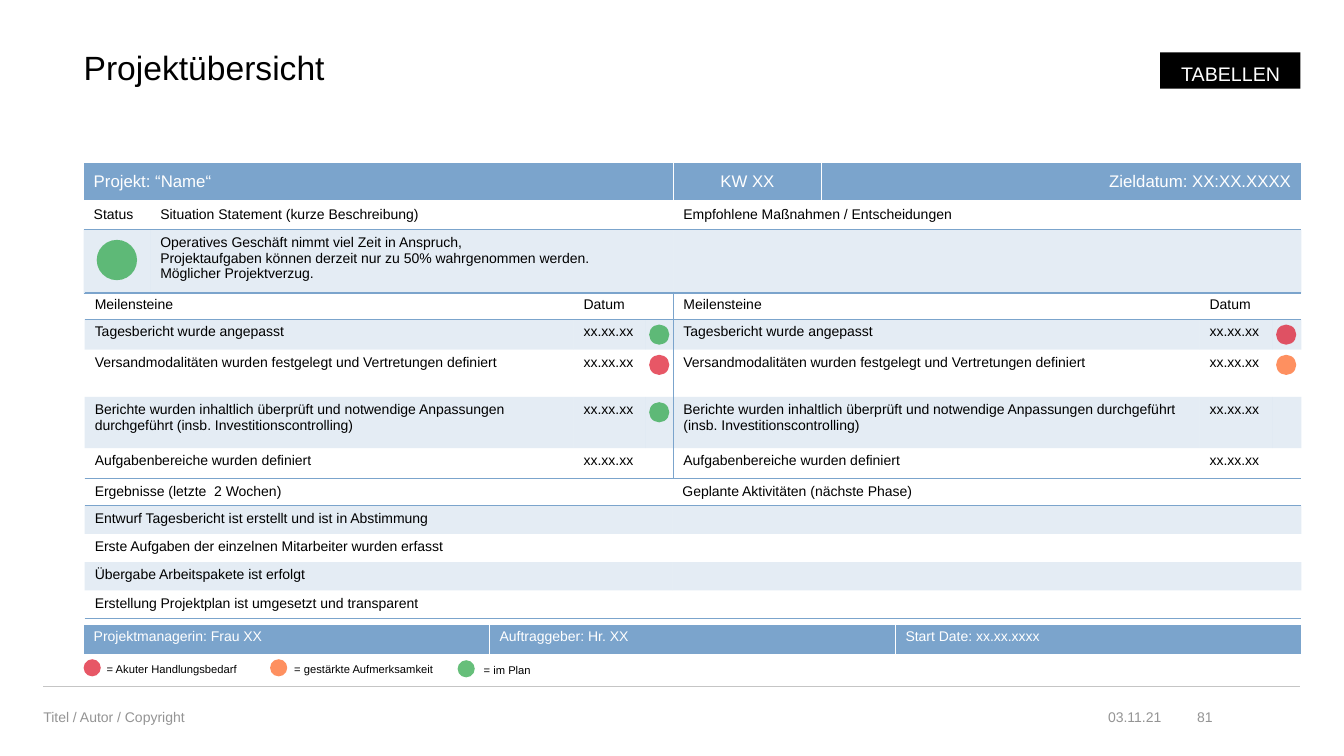
from lxml import etree
from pptx import Presentation, util as u
from pptx.dml.color import RGBColor
from pptx.enum import shapes, text
from pptx.oxml import ns

GRID = u.Inches(0.1)
FONT = "Arial"
BLUE, WHITE, BLACK, GREY, RULE = "7BA4CC", "FFFFFF", "000000", "949494", "C5C5C5"
GREEN, RED, ORANGE = "26A442", "DE1026", "FE621D"
NO_STYLE = "{2D5ABB26-0587-4C30-8999-92F81FD0307C}"

LEFT, MIDDLE = 8.3, 66.7
STATUS_TOP, MILESTONE_TOP, RESULT_TOP = 20, 29, 47.5
MILESTONE_ROWS = [2.6, 3, 4.7, 5.1, 3]
RESULT_ROWS = [2.6] + [2.8] * 4
MILESTONES = [
    "Tagesbericht wurde angepasst",
    "Versandmodalitäten wurden festgelegt und Vertretungen definiert",
    "Berichte wurden inhaltlich überprüft und notwendige Anpassungen "
    "durchgeführt (insb. Investitionscontrolling)",
    "Aufgabenbereiche wurden definiert",
]
RESULTS = [
    "Ergebnisse (letzte  2 Wochen)",
    "Entwurf Tagesbericht ist erstellt und ist in Abstimmung",
    "Erste Aufgaben der einzelnen Mitarbeiter wurden erfasst",
    "Übergabe Arbeitspakete ist erfolgt",
    "Erstellung Projektplan ist umgesetzt und transparent",
]


def cells(*counts):
    """Lengths of the given numbers of grid cells."""
    return [round(count * GRID) for count in counts]


def rgb(code):
    return RGBColor.from_string(code)


def sub(parent, tag, **attributes):
    return etree.SubElement(parent, ns.qn(tag), attributes)


def paint(fill, color, opacity=100):
    fill.solid()
    fill.fore_color.rgb = rgb(color)
    if opacity < 100:
        tint = fill._xPr.find(ns.qn("a:solidFill")).find(ns.qn("a:srgbClr"))
        sub(tint, "a:alpha", val=str(opacity * 1000))


def write(frame, words, size=10, color=BLACK, align=text.PP_ALIGN.LEFT,
          spacing=None, after=None):
    """Fill a text frame, one paragraph per line of words."""
    for index, line in enumerate(words.split("\n")):
        paragraph = frame.add_paragraph() if index else frame.paragraphs[0]
        paragraph.alignment = align
        paragraph.line_spacing = spacing
        paragraph.space_after = after
        if not line:
            sub(paragraph._p, "a:endParaRPr", sz=str(size * 100))
            continue
        run = paragraph.add_run()
        run.text = line
        run.font.size = u.Pt(size)
        run.font.name = FONT
        run.font.color.rgb = rgb(color)


def set_insets(frame, horizontal, vertical):
    frame.margin_left = frame.margin_right = u.Inches(horizontal)
    frame.margin_top = frame.margin_bottom = u.Inches(vertical)


def add_label(slide, box, words, inset=(0, 0), **style):
    frame = slide.shapes.add_textbox(*cells(*box)).text_frame
    frame.word_wrap = True
    frame.vertical_anchor = text.MSO_ANCHOR.MIDDLE
    set_insets(frame, *inset)
    write(frame, words, **style)


def add_dot(slide, left, top, size, color):
    dot = slide.shapes.add_shape(shapes.MSO_SHAPE.OVAL, *cells(left, top, size, size))
    dot.shadow.inherit = False
    dot.line.fill.background()
    paint(dot.fill, color, 70)


def add_border(cell, side, color, width):
    line = sub(cell._tc.get_or_add_tcPr(), "a:ln" + side, w=str(u.Pt(width)))
    sub(sub(line, "a:solidFill"), "a:srgbClr", val=color)


def add_grid(slide, left, top, widths, heights):
    """Add an unstyled table and return it."""
    frame = slide.shapes.add_table(len(heights), len(widths),
                                   *cells(left, top, sum(widths), sum(heights)))
    table = frame.table
    table.first_row = table.horz_banding = False
    table._tbl.tblPr.find(ns.qn("a:tableStyleId")).text = NO_STYLE
    for column, width in zip(table.columns, cells(*widths)):
        column.width = width
    for row, height in zip(table.rows, cells(*heights)):
        row.height = height
    return table


def add_bar(slide, top, widths, height, entries, aligns, size, anchor, bottom):
    """Add a one-row table of solid blue cells."""
    table = add_grid(slide, LEFT, top, widths, [height])
    for cell, words, align in zip(table.iter_cells(), entries, aligns):
        write(cell.text_frame, words, size=size, color=WHITE, align=align)
        cell.vertical_anchor = anchor
        cell.margin_bottom = u.Inches(bottom)
        for side, width in zip("LRTB", (1, 1, 1, 3)):
            add_border(cell, side, WHITE, width)
        paint(cell.fill, BLUE)


def add_banded(slide, left, top, widths, heights, entries, left_rule=False):
    """Add a table with a ruled head, tinted odd rows and a closing rule."""
    table = add_grid(slide, left, top, widths, heights)
    last = len(heights) - 1
    for r, line in enumerate(entries):
        for c, words in enumerate(line):
            cell = table.cell(r, c)
            write(cell.text_frame, words)
            sides = "L" if left_rule and c == 0 else ""
            sides += "TB" if r == 0 else "B" if r == last else ""
            for side in sides:
                add_border(cell, side, BLUE, 1)
            if r % 2:
                paint(cell.fill, BLUE, 20)
            else:
                cell.fill.background()


def add_milestones(slide, left, widths, dot_left, colors, left_rule=False):
    entries = [["Meilensteine", "Datum", ""]]
    entries += [[milestone, "xx.xx.xx", ""] for milestone in MILESTONES]
    add_banded(slide, left, MILESTONE_TOP, widths, MILESTONE_ROWS, entries, left_rule)
    for row, color in enumerate(colors, 1):
        add_dot(slide, dot_left, MILESTONE_TOP + sum(MILESTONE_ROWS[:row]) + 0.6, 2, color)


def add_heading(slide):
    title = slide.shapes.title
    title.left, title.top, title.width, title.height = cells(LEFT, 5.1, 120.7, 3.6)
    set_insets(title.text_frame, 0, 0)
    title.text_frame.vertical_anchor = text.MSO_ANCHOR.TOP
    write(title.text_frame, "Projektübersicht", size=24, spacing=0.9)

    tag = slide.shapes.add_shape(shapes.MSO_SHAPE.RECTANGLE, *cells(115.1, 5.2, 13.9, 3.6))
    tag.shadow.inherit = False
    tag.line.fill.background()
    paint(tag.fill, BLACK)
    set_insets(tag.text_frame, 0.2, 0.05)
    tag.text_frame.word_wrap = False
    tag.text_frame.vertical_anchor = text.MSO_ANCHOR.TOP
    write(tag.text_frame, "TABELLEN", size=14, color=WHITE,
          align=text.PP_ALIGN.RIGHT, spacing=1.2, after=u.Pt(10))


def add_footer(slide):
    rule = slide.shapes.add_connector(shapes.MSO_CONNECTOR.STRAIGHT,
                                      *cells(4.3, 68.1, 129, 68.1))
    rule.line.color.rgb = rgb(RULE)
    rule.line.width = u.Pt(0.5)
    sub(rule._element.spPr, "a:effectLst")
    for left, width, words, align in (
            (4.3, 60.7, "Titel / Autor / Copyright", text.PP_ALIGN.LEFT),
            (107.7, 7.5, "03.11.21", text.PP_ALIGN.RIGHT),
            (117.2, 3.1, "81", text.PP_ALIGN.RIGHT)):
        add_label(slide, (left, 69.2, width, 3.9), words, color=GREY, align=align)


def add_legend(slide):
    for left, top, color, gap, width, words in (
            (8.3, 65.4, RED, 1.3, 16, "= Akuter Handlungsbedarf"),
            (26.8, 65.4, ORANGE, 1.4, 17, "= gestärkte Aufmerksamkeit"),
            (45.4, 65.5, GREEN, 1.6, 9, "= im Plan")):
        add_dot(slide, left, top, 1.7, color)
        add_label(slide, (left + gap, top - 0.2, width, 2.4), words,
                  inset=(0.1, 0.05), size=8)


def main():
    deck = Presentation()
    deck.slide_width, deck.slide_height = cells(133.33, 75)
    slide = deck.slides.add_slide(deck.slide_layouts[5])
    add_heading(slide)
    add_footer(slide)

    add_banded(slide, LEFT, STATUS_TOP, [6.6, 51.9, 62.3], [2.8, 6.3], [
        ["Status", "Situation Statement (kurze Beschreibung)",
         "Empfohlene Maßnahmen / Entscheidungen"],
        ["", "Operatives Geschäft nimmt viel Zeit in Anspruch,\n"
             "Projektaufgaben können derzeit nur zu 50% wahrgenommen werden.\n"
             "Möglicher Projektverzug.", ""]])
    add_dot(slide, 9.6, STATUS_TOP + 3.8, 4, GREEN)
    add_bar(slide, 16.1, [58.5, 14.7, 47.6], 3.9,
            ["Projekt: “Name“", "KW XX", "Zieldatum: XX:XX.XXXX"],
            [text.PP_ALIGN.LEFT, text.PP_ALIGN.CENTER, text.PP_ALIGN.RIGHT],
            12, text.MSO_ANCHOR.MIDDLE, 0.05)

    add_milestones(slide, 8.4, [48.5, 7.1, 2.8], 64.4, [GREEN, RED, GREEN])
    add_milestones(slide, 66.8, [52.2, 7.2, 2.9], 126.6, [RED, ORANGE], left_rule=True)

    add_banded(slide, 8.4, RESULT_TOP, [58.3], RESULT_ROWS, [[line] for line in RESULTS])
    add_banded(slide, MIDDLE, RESULT_TOP, [62.4], RESULT_ROWS,
               [["Geplante Aktivitäten (nächste Phase)"]] + [[""]] * 4)

    add_bar(slide, 61.9, [40.27] * 3, 3.2,
            ["Projektmanagerin: Frau XX", "Auftraggeber: Hr. XX", "Start Date: xx.xx.xxxx"],
            [text.PP_ALIGN.LEFT] * 3, 10, text.MSO_ANCHOR.TOP, 0.1)
    add_legend(slide)
    deck.save("out.pptx")


if __name__ == "__main__":
    main()
